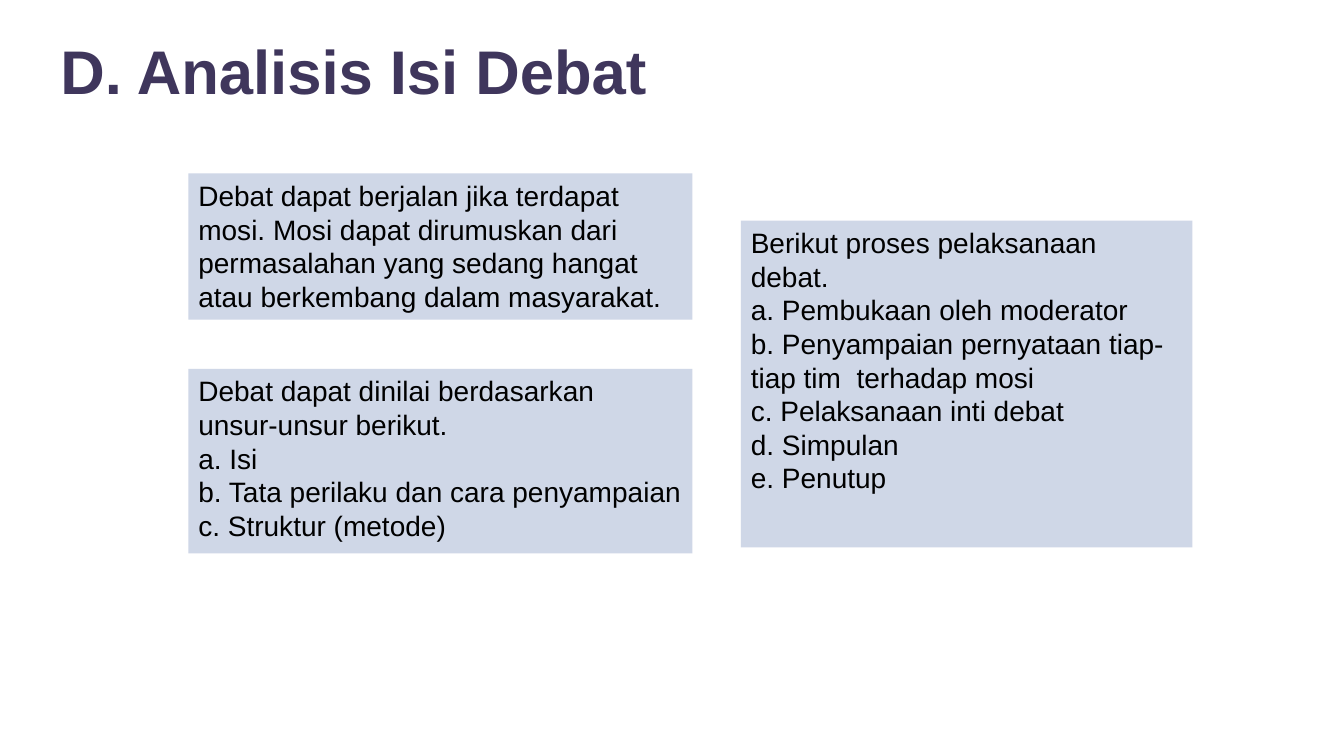
"""Build the slide on analysing the content of a debate."""
from dataclasses import dataclass

from pptx import Presentation
from pptx.dml.color import RGBColor
from pptx.enum.shapes import MSO_SHAPE
from pptx.enum.text import MSO_ANCHOR, PP_ALIGN
from pptx.slide import Slide
from pptx.text.text import TextFrame
from pptx.util import Pt

RECTANGLE = MSO_SHAPE.RECTANGLE
TOP = MSO_ANCHOR.TOP
MIDDLE = MSO_ANCHOR.MIDDLE
LEFT = PP_ALIGN.LEFT

FONT = "Arial"
TITLE_COLOR = "3F365C"
PANEL_COLOR = "CFD7E7"
TEXT_COLOR = "000000"
LEFT_COLUMN = 134.6
LEFT_WIDTH = 360


@dataclass(frozen=True)
class Panel:
    """A filled box with its paragraphs."""

    left: float
    top: float
    width: float
    height: float
    paragraphs: tuple[str, ...]


PANELS = (
    Panel(LEFT_COLUMN, 123.9, LEFT_WIDTH, 104.4, (
        "Debat dapat berjalan jika terdapat mosi. Mosi dapat dirumuskan dari "
        "permasalahan yang sedang hangat atau berkembang dalam masyarakat.",
    )),
    Panel(529.2, 157.7, 322.6, 233.3, (
        "Berikut proses pelaksanaan debat.",
        "a. Pembukaan oleh moderator\n"
        "b. Penyampaian pernyataan tiap-tiap tim  terhadap mosi\n"
        "c. Pelaksanaan inti debat\n"
        "d. Simpulan\n"
        "e. Penutup",
    )),
    Panel(LEFT_COLUMN, 263.6, LEFT_WIDTH, 131.8, (
        "Debat dapat dinilai berdasarkan",
        "unsur-unsur berikut.",
        "a. Isi\nb. Tata perilaku dan cara penyampaian\nc. Struktur (metode)",
    )),
)


def color(value: str) -> RGBColor:
    """Turn a hex string into a colour."""
    return RGBColor.from_string(value)


def write_text(frame: TextFrame, paragraphs: tuple[str, ...], *, size: float,
               text_color: str, bold: bool = False, anchor: MSO_ANCHOR = TOP,
               margin_left: float = 7.2, line_spacing: float = 1.0) -> None:
    """Fill a text frame with formatted paragraphs."""
    frame.word_wrap = True
    frame.vertical_anchor = anchor
    frame.margin_left = Pt(margin_left)
    for index, text in enumerate(paragraphs):
        paragraph = frame.add_paragraph() if index else frame.paragraphs[0]
        paragraph.text = text
        paragraph.alignment = LEFT
        paragraph.line_spacing = line_spacing
        for run in paragraph.runs:
            run.font.name = FONT
            run.font.size = Pt(size)
            run.font.bold = bold
            run.font.color.rgb = color(text_color)


def draw_title(slide: Slide, text: str) -> None:
    """Draw the heading across the top of the slide."""
    shape = slide.shapes.add_textbox(Pt(0), Pt(0.7), Pt(960), Pt(104.4))
    write_text(shape.text_frame, (text,), size=44, text_color=TITLE_COLOR,
               bold=True, anchor=MIDDLE, margin_left=43.2, line_spacing=0.9)


def draw_panel(slide: Slide, panel: Panel) -> None:
    """Draw one filled box of text."""
    shape = slide.shapes.add_shape(RECTANGLE, Pt(panel.left), Pt(panel.top),
                                   Pt(panel.width), Pt(panel.height))
    shape.shadow.inherit = False
    shape.fill.solid()
    shape.fill.fore_color.rgb = color(PANEL_COLOR)
    shape.line.fill.background()
    write_text(shape.text_frame, panel.paragraphs, size=20, text_color=TEXT_COLOR)


def main() -> None:
    """Create and save the presentation."""
    presentation = Presentation()
    presentation.slide_width = Pt(960)
    presentation.slide_height = Pt(540)
    slide = presentation.slides.add_slide(presentation.slide_layouts[6])
    draw_title(slide, "D. Analisis Isi Debat")
    for panel in PANELS:
        draw_panel(slide, panel)
    presentation.save("out.pptx")


if __name__ == "__main__":
    main()
